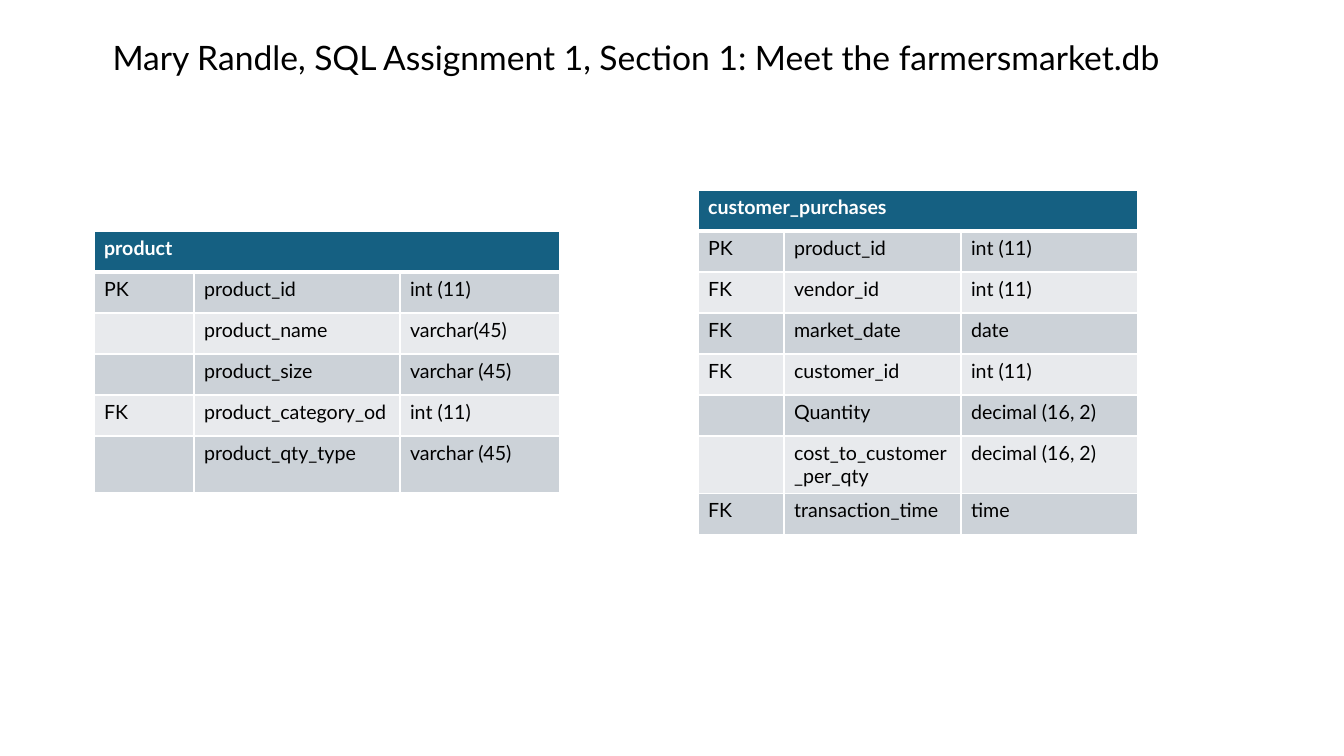
"""Build a slide that describes two tables of the farmersmarket database."""
from dataclasses import dataclass

from lxml import etree
from pptx import Presentation
from pptx import util as u
from pptx.dml import color
from pptx.enum import text
from pptx.oxml import ns


@dataclass(frozen=True)
class Theme:
    font: str = "Lato"
    ink: str = "000000"
    paper: str = "FFFFFF"
    header: str = "156082"
    bands: tuple = ("CCD2D8", "E8EAED")
    title_size: int = 24
    cell_size: int = 14
    rule: int = 1
    header_rule: int = 3


PX_PER_INCH = 100.8
ROW = 41
TALL_ROW = 57

PRODUCT = [
    ("PK", "product_id", "int (11)"),
    ("", "product_name", "varchar(45)"),
    ("", "product_size", "varchar (45)"),
    ("FK", "product_category_od", "int (11)"),
    ("", "product_qty_type", "varchar (45)"),
]
PURCHASES = [
    ("PK", "product_id", "int (11)"),
    ("FK", "vendor_id", "int (11)"),
    ("FK", "market_date", "date"),
    ("FK", "customer_id", "int (11)"),
    ("", "Quantity", "decimal (16, 2)"),
    ("", "cost_to_customer_per_qty", "decimal (16, 2)"),
    ("FK", "transaction_time", "time"),
]


def px(length):
    return u.Inches(length / PX_PER_INCH)


def write(frame, words, *, font, size, ink, bold=False, align=None, spacing=None, before=None):
    para = frame.paragraphs[0]
    para.alignment = align
    para.line_spacing = spacing
    para.space_before = before
    span = para.add_run()
    span.text = words
    span.font.name = font
    span.font.size = u.Pt(size)
    span.font.bold = bold
    span.font.color.rgb = color.RGBColor.from_string(ink)


class SlideBuilder:
    def __init__(self, page, theme):
        self.page = page
        self.theme = theme

    def title(self, words, left, top, width, height):
        box = self.page.shapes.add_textbox(px(left), px(top), px(width), px(height))
        box.text_frame.word_wrap = True
        write(box.text_frame, words, font=self.theme.font, size=self.theme.title_size,
              ink=self.theme.ink, align=text.PP_ALIGN.CENTER, spacing=0.9, before=u.Pt(10))

    def border(self, cell, side, points):
        props = cell._tc.get_or_add_tcPr()
        line = etree.SubElement(props, ns.qn(f"a:ln{side}"), w=str(u.Pt(points)))
        fill = etree.SubElement(line, ns.qn("a:solidFill"))
        etree.SubElement(fill, ns.qn("a:srgbClr"), val=self.theme.paper)

    def cell(self, cell, words, fill, ink, bold=False, top=1, bottom=1):
        for side, points in zip("LRTB", (self.theme.rule, self.theme.rule, top, bottom)):
            self.border(cell, side, points)
        cell.fill.solid()
        cell.fill.fore_color.rgb = color.RGBColor.from_string(fill)
        if words:
            write(cell.text_frame, words, font=self.theme.font, size=self.theme.cell_size,
                  ink=ink, bold=bold)

    def entity(self, name, fields, left, top, widths, tall_row):
        theme = self.theme
        heights = [TALL_ROW if row == tall_row else ROW for row in range(len(fields) + 1)]
        table = self.page.shapes.add_table(
            len(heights), len(widths), px(left), px(top),
            px(sum(widths)), px(sum(heights))).table
        for column, width in zip(table.columns, widths):
            column.width = px(width)
        for row, height in zip(table.rows, heights):
            row.height = px(height)
        table.cell(0, 0).merge(table.cell(0, len(widths) - 1))
        for column in range(len(widths)):
            self.cell(table.cell(0, column), "" if column else name, theme.header,
                      theme.paper, bold=True, bottom=theme.header_rule)
        for row, field in enumerate(fields, start=1):
            for column, words in enumerate(field):
                self.cell(table.cell(row, column), words, theme.bands[(row - 1) % 2], theme.ink,
                          top=theme.header_rule if row == 1 else theme.rule)


def main():
    deck = Presentation()
    deck.slide_width, deck.slide_height = px(1344), px(756)
    builder = SlideBuilder(deck.slides.add_slide(deck.slide_layouts[6]), Theme())
    builder.title("Mary Randle, SQL Assignment 1, Section 1: Meet the farmersmarket.db",
                  36, 37, 1200, 58)
    builder.entity("product", PRODUCT, 94, 231, (100, 206, 160), tall_row=5)
    builder.entity("customer_purchases", PURCHASES, 698, 190, (86, 177, 177), tall_row=6)
    deck.save("out.pptx")


if __name__ == "__main__":
    main()
